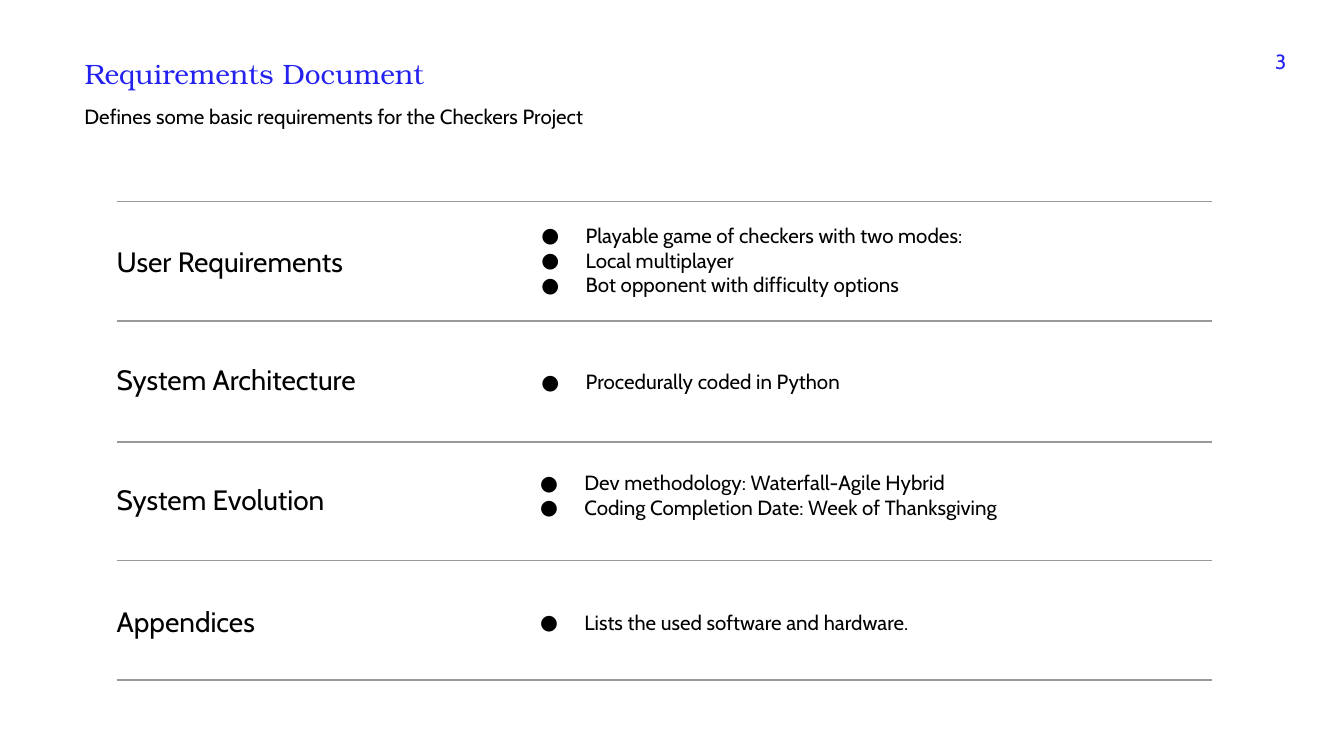
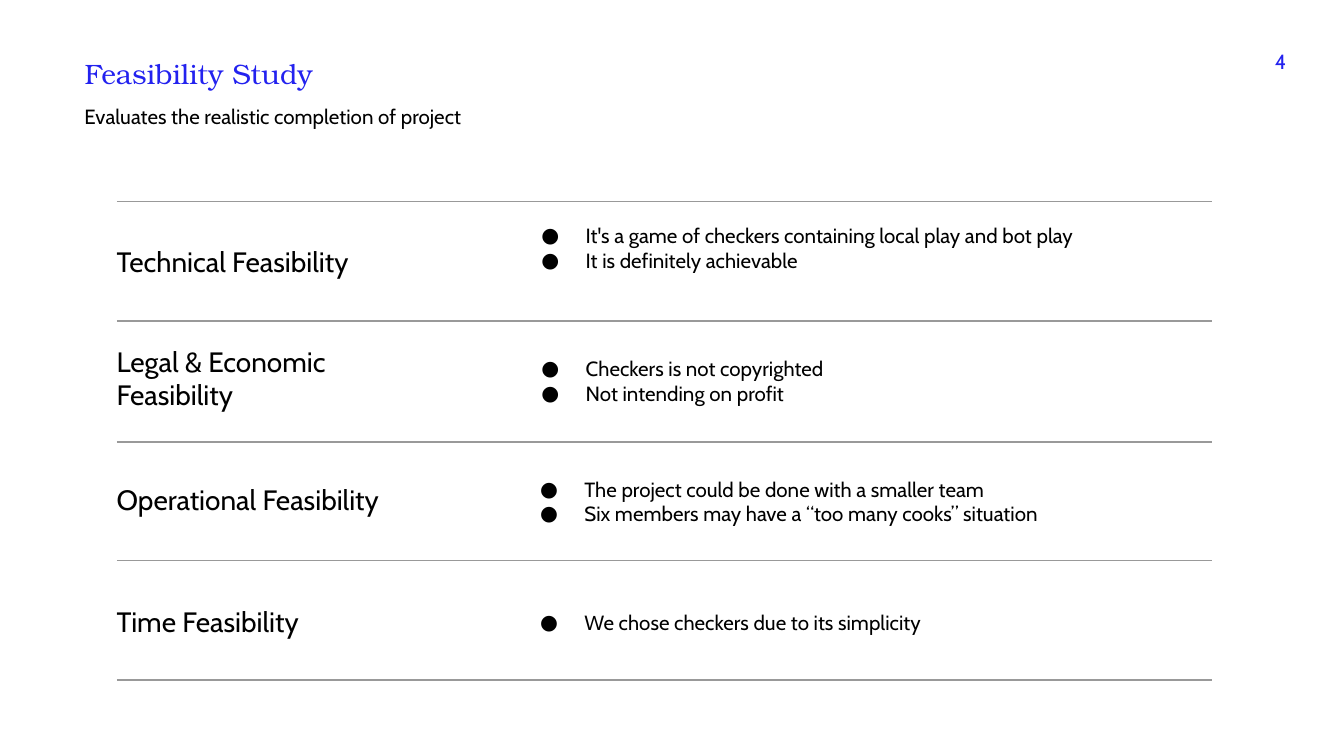
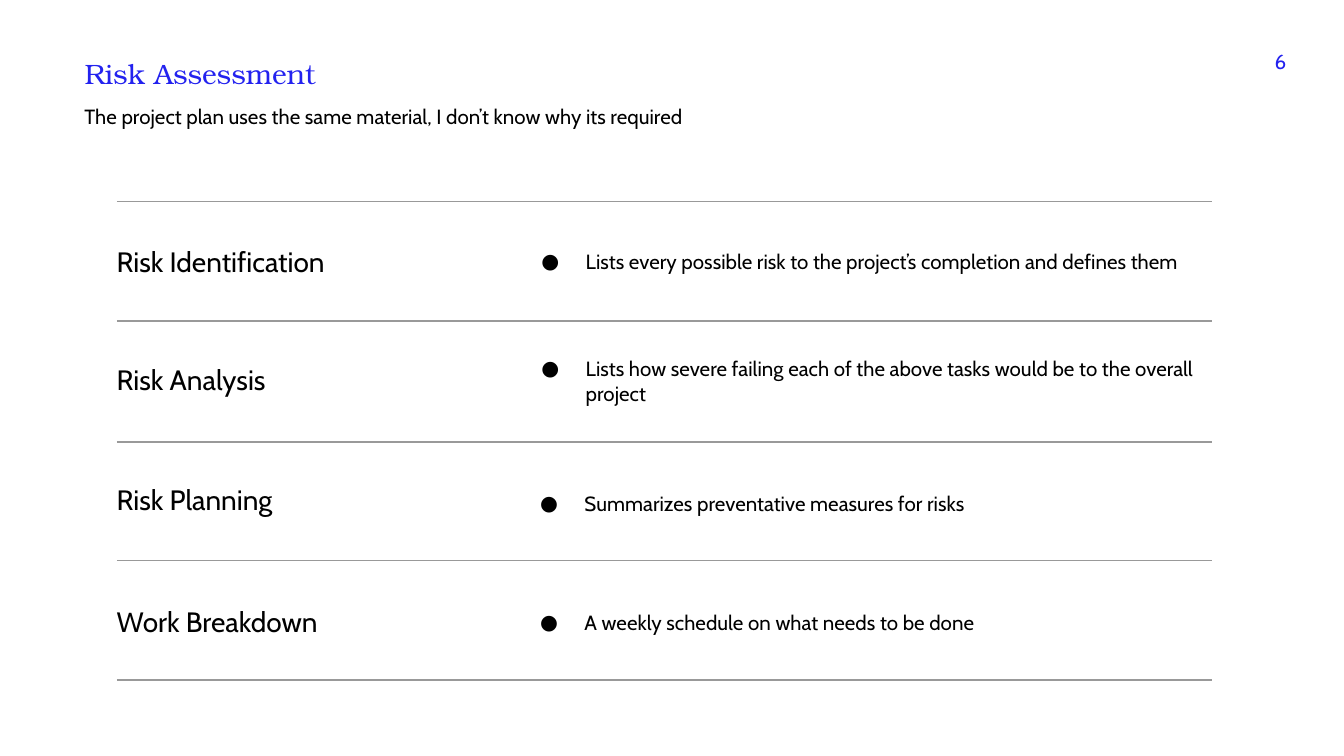
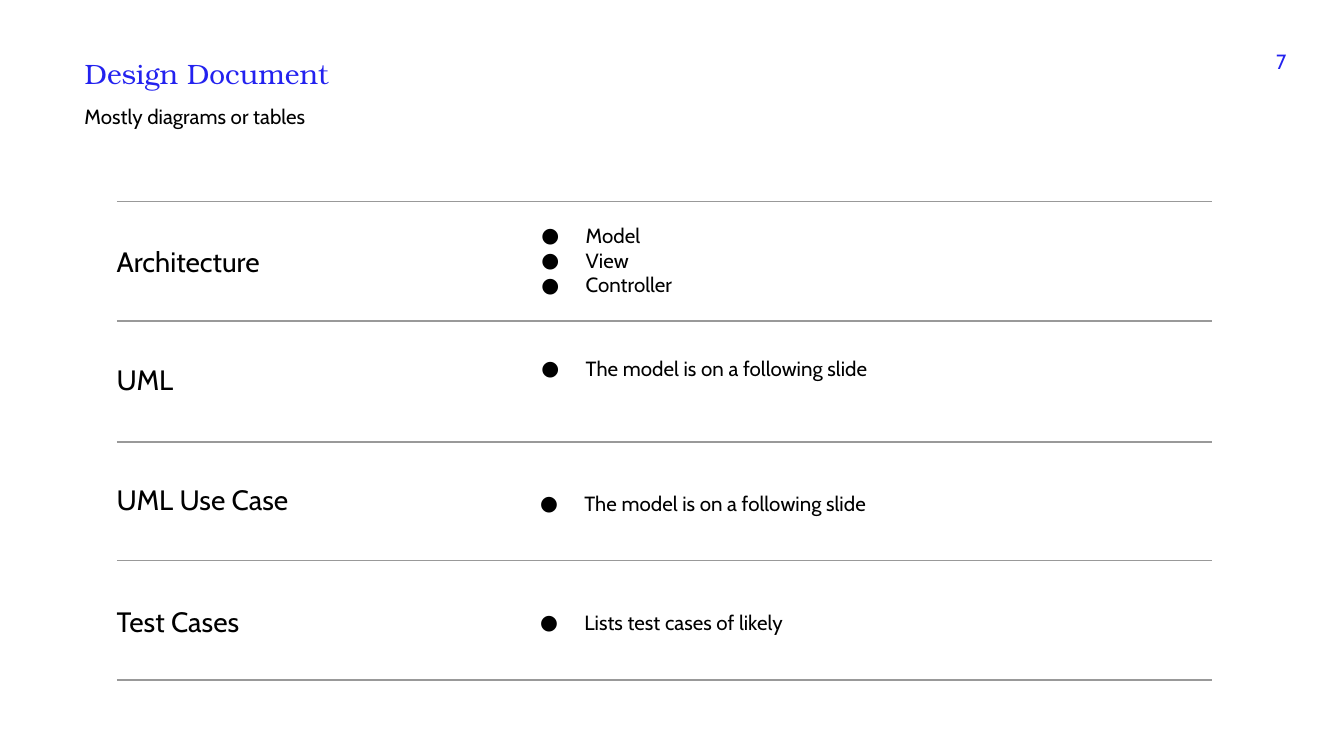
from lxml import etree
from pptx import Presentation
from pptx.dml.color import RGBColor
from pptx.enum.shapes import MSO_CONNECTOR
from pptx.enum.text import MSO_ANCHOR, MSO_AUTO_SIZE, PP_ALIGN
from pptx.oxml.ns import qn
from pptx.util import Inches, Pt

BLUE = RGBColor(0x23, 0x22, 0xEF)
BLACK = RGBColor(0x00, 0x00, 0x00)
GREY = RGBColor(0x99, 0x99, 0x99)
BODY_FONT = "Cabin"
TITLE_FONT = "TeX Gyre Bonum"
TOP, MIDDLE = MSO_ANCHOR.TOP, MSO_ANCHOR.MIDDLE
LEFT, RIGHT = PP_ALIGN.LEFT, PP_ALIGN.RIGHT
NO_AUTOFIT = MSO_AUTO_SIZE.NONE
STRAIGHT = MSO_CONNECTOR.STRAIGHT

RULE_LEFT, RULE_RIGHT = 0.87, 9.02
RULE_TOPS = (1.5, 2.39, 3.29, 4.17, 5.06)
HEADING_BOXES = [(0.77, top, 2.23, 0.42) for top in (1.72, 2.6, 3.49, 4.4)]
BULLET_BOXES = [
    (3.76, 1.56, 5.26, 0.77),
    (3.76, 2.55, 5.26, 0.58),
    (3.75, 3.55, 5.26, 0.36),
    (3.75, 4.44, 5.26, 0.34),
]
TALL_THIRD_BOX = (3.75, 3.4, 5.26, 0.66)

# Each row: heading, bullets, heading format, bullet format
SLIDES = [
    ("3", "Requirements Document",
     "Defines some basic requirements for the Checkers Project", [
         ("User Requirements",
          ["Playable game of checkers with two modes:", "Local multiplayer",
           "Bot opponent with difficulty options"], {}, {}),
         ("System Architecture", ["Procedurally coded in Python"],
          {}, {"anchor": MIDDLE}),
         ("System Evolution",
          ["Dev methodology: Waterfall-Agile Hybrid",
           "Coding Completion Date: Week of Thanksgiving"],
          {}, {"box": TALL_THIRD_BOX}),
         ("Appendices", ["Lists the used software and hardware."], {}, {}),
     ]),
    ("4", "Feasibility Study",
     "Evaluates the realistic completion of project", [
         ("Technical Feasibility",
          ["It's a game of checkers containing local play and bot play",
           "It is definitely achievable"], {}, {}),
         ("Legal & Economic Feasibility",
          ["Checkers is not copyrighted", "Not intending on profit"],
          {"anchor": MIDDLE}, {}),
         ("Operational Feasibility",
          ["The project could be done with a smaller team",
           "Six members may have a “too many cooks” situation"],
          {}, {"anchor": MIDDLE}),
         ("Time Feasibility", ["We chose checkers due to its simplicity"], {}, {}),
     ]),
    ("6", "Risk Assessment",
     "The project plan uses the same material, I don’t know why its required", [
         ("Risk Identification",
          ["Lists every possible risk to the project’s completion and defines them"],
          {}, {"anchor": MIDDLE}),
         ("Risk Analysis",
          ["Lists how severe failing each of the above tasks would be to the "
           "overall project"], {}, {}),
         ("Risk Planning", ["Summarizes preventative measures for risks"], {}, {}),
         ("Work Breakdown", ["A weekly schedule on what needs to be done"], {}, {}),
     ]),
    ("7", "Design Document", "Mostly diagrams or tables", [
        ("Architecture", ["Model", "View", "Controller"], {}, {}),
        ("UML", ["The model is on a following slide"], {}, {}),
        ("UML Use Case", ["The model is on a following slide"], {}, {}),
        ("Test Cases", ["Lists test cases of likely"], {}, {}),
    ]),
]


def put_text(s, lines, box, sp=None, size=11, font=BODY_FONT, color=BLACK,
             align=LEFT, anchor=TOP, bullets=False):
    """Write one paragraph per line into sp, or into a new text box."""
    left, top, width, height = (Inches(v) for v in box)
    if sp is None:
        sp = s.shapes.add_textbox(left, top, width, height)
    sp.left, sp.top, sp.width, sp.height = left, top, width, height
    tf = sp.text_frame
    tf.word_wrap = True
    tf.auto_size = NO_AUTOFIT
    tf.vertical_anchor = anchor
    tf.margin_left = tf.margin_right = Inches(0.1)
    tf.margin_top = tf.margin_bottom = Inches(0.1)
    for i, line in enumerate(lines):
        p = tf.add_paragraph() if i else tf.paragraphs[0]
        p.alignment = align
        r = p.add_run()
        r.text = line
        r.font.size = Pt(size)
        r.font.name = font
        r.font.color.rgb = color
        if bullets:
            pPr = p._p.get_or_add_pPr()
            pPr.set("marL", str(Inches(0.5)))
            pPr.set("indent", str(Inches(-0.33)))
            bullet_color = etree.SubElement(pPr, qn("a:buClr"))
            etree.SubElement(bullet_color, qn("a:srgbClr"), val=str(color))
            etree.SubElement(pPr, qn("a:buSzPts"), val=str(size * 100))
            etree.SubElement(pPr, qn("a:buFont"), typeface=font)
            etree.SubElement(pPr, qn("a:buChar"), char="●")


prs = Presentation()
prs.slide_width = Inches(10)
prs.slide_height = prs.slide_width * 9 // 16
title_only = prs.slide_layouts[5]

for number, title, subtitle, rows in SLIDES:
    s = prs.slides.add_slide(title_only)
    put_text(s, [title], (0.53, 0.32, 3.93, 0.37), sp=s.shapes.title,
             size=15, font=TITLE_FONT, color=BLUE)
    put_text(s, [subtitle], (0.53, 0.67, 5.33, 0.41))
    put_text(s, [number], (9.29, 0.27, 0.38, 0.19), color=BLUE, align=RIGHT)

    for rule_top in RULE_TOPS:
        y = Inches(rule_top)
        rule = s.shapes.add_connector(STRAIGHT, Inches(RULE_LEFT), y,
                                      Inches(RULE_RIGHT), y)
        rule.line.color.rgb = GREY
        rule.line.width = Pt(0.75)
        etree.SubElement(rule._element.spPr, qn("a:effectLst"))

    for row, heading_box, bullet_box in zip(rows, HEADING_BOXES, BULLET_BOXES):
        heading, points, heading_format, bullet_format = row
        put_text(s, [heading], heading_box, size=15, **heading_format)
        put_text(s, points, **{"box": bullet_box, "bullets": True, **bullet_format})

prs.save("out.pptx")
